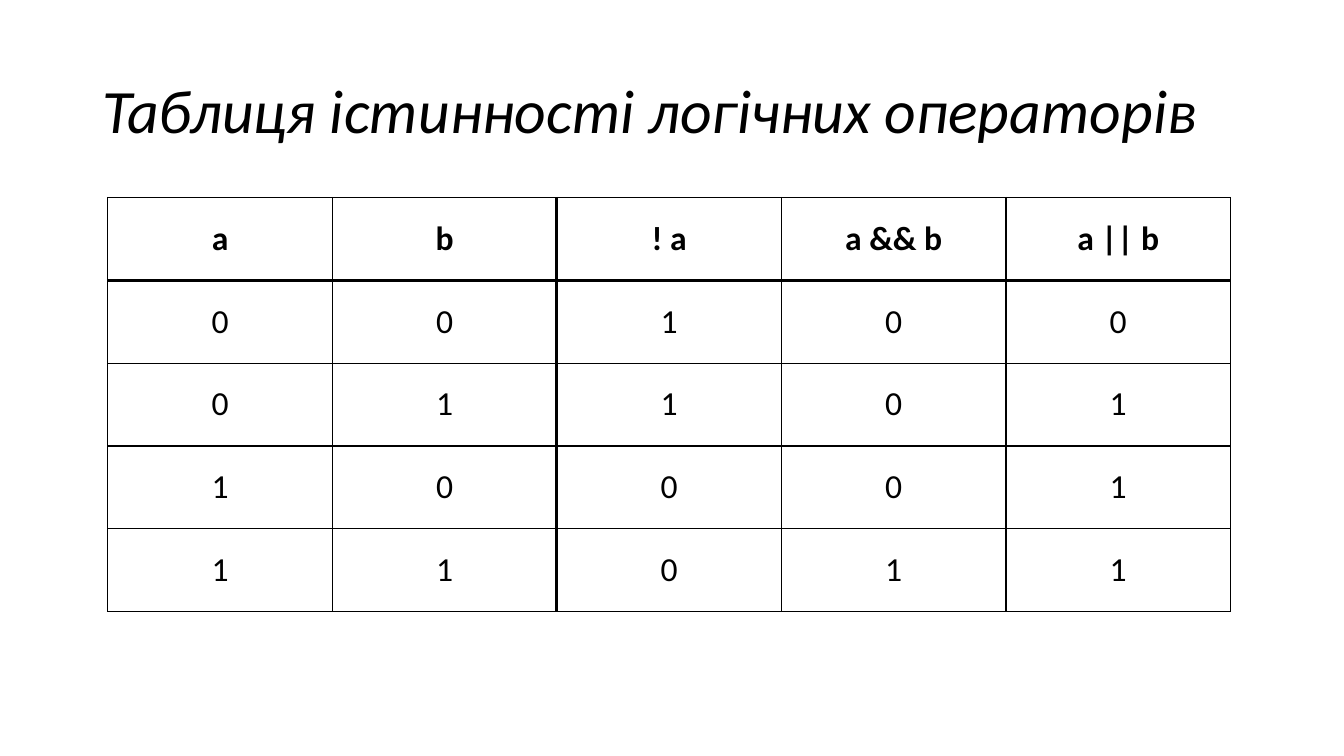
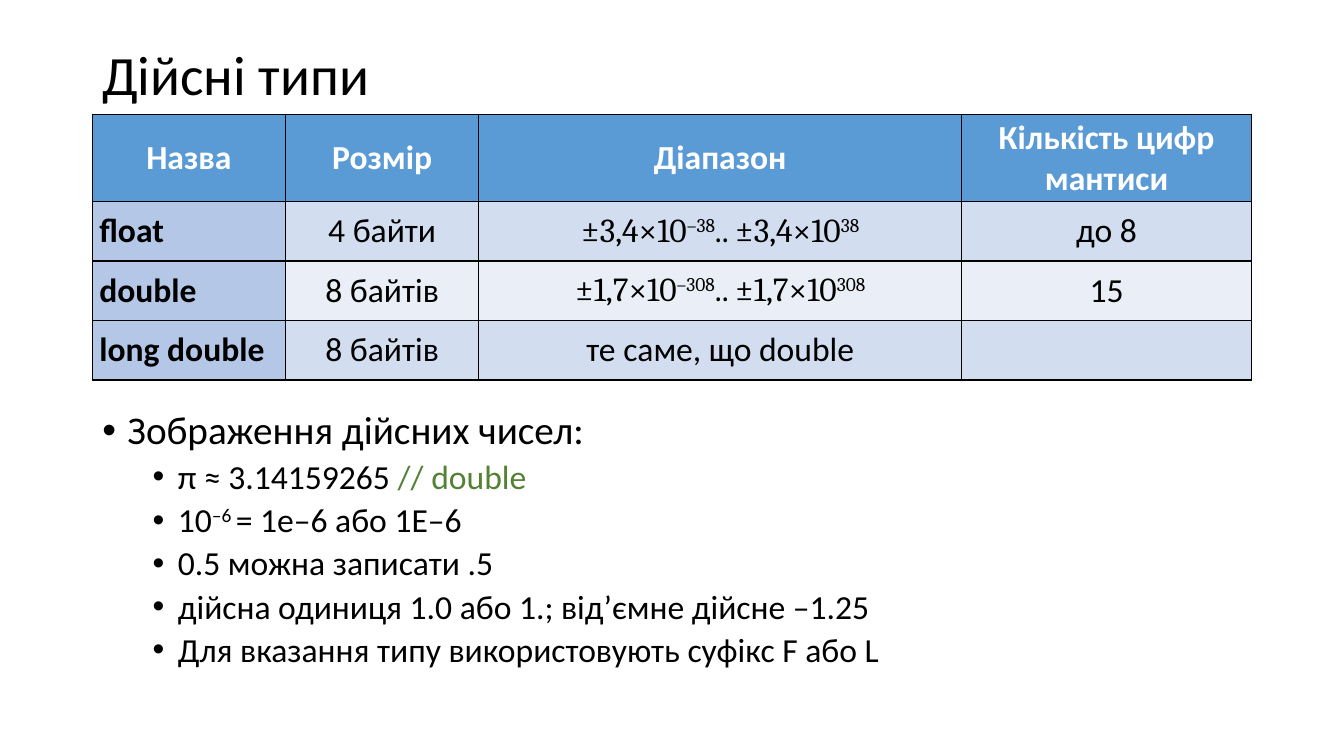
from dataclasses import dataclass
from typing import Any

import lxml.etree
import pptx
import pptx.dml.color
import pptx.enum.text
import pptx.oxml.ns
import pptx.util

Pt = pptx.util.Pt
Align = pptx.enum.text.PP_ALIGN
Middle = pptx.enum.text.MSO_ANCHOR.MIDDLE
qn = pptx.oxml.ns.qn

HUES = {
    "ink": "000000",
    "white": "FFFFFF",
    "head": "5B9BD5",
    "side": "B4C7E7",
    "odd": "D2DEEF",
    "even": "EAEFF7",
    "note": "548235",
}
LEFT, TOP, WIDE = 66, 29, 828
THIN, THICK = 1, 2.25


@dataclass(frozen=True)
class Bit:
    text: str
    size: float = 24
    hue: str = "ink"
    font: str = "Calibri"
    bold: bool = False
    slant: bool = False
    raised: bool = False


@dataclass(frozen=True)
class Cell:
    bits: tuple[Bit, ...]
    fill: str = ""
    align: Any = Align.CENTER


@dataclass(frozen=True)
class Grid:
    left: float
    top: float
    cols: list[float]
    rows: list[float]
    cells: list[list[Cell]]
    beams: tuple[int, ...] = ()
    posts: tuple[int, ...] = ()


@dataclass(frozen=True)
class Item:
    bits: tuple[Bit, ...]
    level: int = 1


def color(hue: str) -> pptx.dml.color.RGBColor:
    return pptx.dml.color.RGBColor.from_string(HUES[hue])


def write(para: Any, bits: tuple[Bit, ...]) -> None:
    for bit in bits:
        run = para.add_run()
        run.text = bit.text
        font = run.font
        font.name, font.size = bit.font, Pt(bit.size)
        font.bold, font.italic = bit.bold, bit.slant
        font.color.rgb = color(bit.hue)
        if bit.raised:
            run._r.get_or_add_rPr().set("baseline", "30000")


def add_box(slide: Any, top: float, high: float) -> Any:
    box = slide.shapes.add_textbox(Pt(LEFT), Pt(top), Pt(WIDE), Pt(high))
    box.text_frame.word_wrap = True
    return box.text_frame


def add_title(slide: Any, bit: Bit, high: float) -> None:
    frame = add_box(slide, TOP, high)
    frame.vertical_anchor = Middle
    para = frame.paragraphs[0]
    para.line_spacing = 0.9
    write(para, (bit,))


def add_list(slide: Any, top: float, high: float, items: list[Item]) -> None:
    frame = add_box(slide, top, high)
    for num, item in enumerate(items):
        para = frame.add_paragraph() if num else frame.paragraphs[0]
        para.level = item.level
        para.line_spacing = 0.9
        para.space_before = Pt(5 if item.level else 10)
        props = para._p.get_or_add_pPr()
        props.set("marL", str(Pt(18 + 36 * item.level)))
        props.set("indent", str(Pt(-18)))
        lxml.etree.SubElement(props, qn("a:buFont"), typeface="Arial")
        lxml.etree.SubElement(props, qn("a:buChar"), char="•")
        write(para, item.bits)


def add_edges(cell: Any, sides: dict[str, float]) -> None:
    props = cell._tc.get_or_add_tcPr()
    for num, (side, width) in enumerate(sides.items()):
        line = lxml.etree.Element(qn(f"a:ln{side}"), w=str(Pt(width)))
        fill = lxml.etree.SubElement(line, qn("a:solidFill"))
        lxml.etree.SubElement(fill, qn("a:srgbClr"), val=HUES["ink"])
        props.insert(num, line)


def add_grid(slide: Any, grid: Grid) -> None:
    table = slide.shapes.add_table(
        len(grid.rows), len(grid.cols), Pt(grid.left), Pt(grid.top),
        Pt(sum(grid.cols)), Pt(sum(grid.rows)),
    ).table
    for col, width in zip(table.columns, grid.cols):
        col.width = Pt(width)
    for row, high in zip(table.rows, grid.rows):
        row.height = Pt(high)

    def weight(line: int, thick: tuple[int, ...]) -> float:
        return THICK if line in thick else THIN

    for y, line in enumerate(grid.cells):
        for x, data in enumerate(line):
            cell = table.cell(y, x)
            cell.vertical_anchor = Middle
            cell.margin_left = cell.margin_right = Pt(5)
            cell.margin_top = cell.margin_bottom = Pt(0)
            if data.fill:
                cell.fill.solid()
                cell.fill.fore_color.rgb = color(data.fill)
            else:
                cell.fill.background()
            add_edges(cell, {
                "L": weight(x, grid.posts),
                "R": weight(x + 1, grid.posts),
                "T": weight(y, grid.beams),
                "B": weight(y + 1, grid.beams),
            })
            para = cell.text_frame.paragraphs[0]
            para.alignment = data.align
            write(para, data.bits)


def span(base: str, power: str) -> tuple[Bit, ...]:
    return (
        Bit(f"±{base}×10", font="Cambria"),
        Bit(f"–{power}", font="Cambria", raised=True),
        Bit(f".. ±{base}×10", font="Cambria"),
        Bit(power, font="Cambria", raised=True),
    )


def type_row(name: str, size: str, reach: tuple[Bit, ...],
             digits: str, fill: str) -> list[Cell]:
    last = (Bit(digits),) if digits else ()
    return [
        Cell((Bit(name, bold=True),), "side", Align.LEFT),
        *(Cell(bits, fill) for bits in ((Bit(size),), reach, last)),
    ]


def draw_truth(slide: Any) -> None:
    add_title(slide, Bit("Таблиця істинності логічних операторів", 44, slant=True), 104)
    heads = ["a", "b", "! a", "a && b", "a || b"]
    pairs = [(a, b) for a in (0, 1) for b in (0, 1)]
    cells = [[Cell((Bit(head, bold=True),)) for head in heads]]
    cells += [
        [Cell((Bit(str(val)),)) for val in (a, b, 1 - a, a & b, a | b)]
        for a, b in pairs
    ]
    add_grid(slide, Grid(77, 141, [160.4] * 5, [59.2] * 5, cells, (1,), (2,)))


def draw_reals(slide: Any) -> None:
    add_title(slide, Bit("Дійсні типи", 39.6), 53)
    add_list(slide, 290, 197, [
        Item((Bit("Зображення дійсних чисел:", 28),), 0),
        Item((Bit("π ≈ 3.14159265 "), Bit("// double", hue="note"))),
        Item((Bit("10"), Bit("–6 ", raised=True), Bit("= 1е–6 або 1Е–6"))),
        Item((Bit("0.5 можна записати .5"),)),
        Item((Bit("дійсна одиниця 1.0 або 1.; від’ємне дійсне –1.25"),)),
        Item((Bit("Для вказання типу використовують суфікс F або L"),)),
    ])
    heads = ["Назва", "Розмір", "Діапазон", "Кількість цифр мантиси"]
    cells = [
        [Cell((Bit(head, hue="white", bold=True),), "head") for head in heads],
        type_row("float", "4 байти", span("3,4", "38"), "до 8", "odd"),
        type_row("double", "8 байтів", span("1,7", "308"), "15", "even"),
        type_row("long double", "8 байтів", (Bit("те саме, що double"),), "", "odd"),
    ]
    add_grid(slide, Grid(LEFT, 82, [138, 138, 345, 207], [62, 42.5, 42.5, 42.5], cells))


def main() -> None:
    deck = pptx.Presentation()
    deck.slide_width, deck.slide_height = Pt(960), Pt(540)
    for draw in (draw_truth, draw_reals):
        draw(deck.slides.add_slide(deck.slide_layouts[6]))
    deck.save("out.pptx")


if __name__ == "__main__":
    main()
